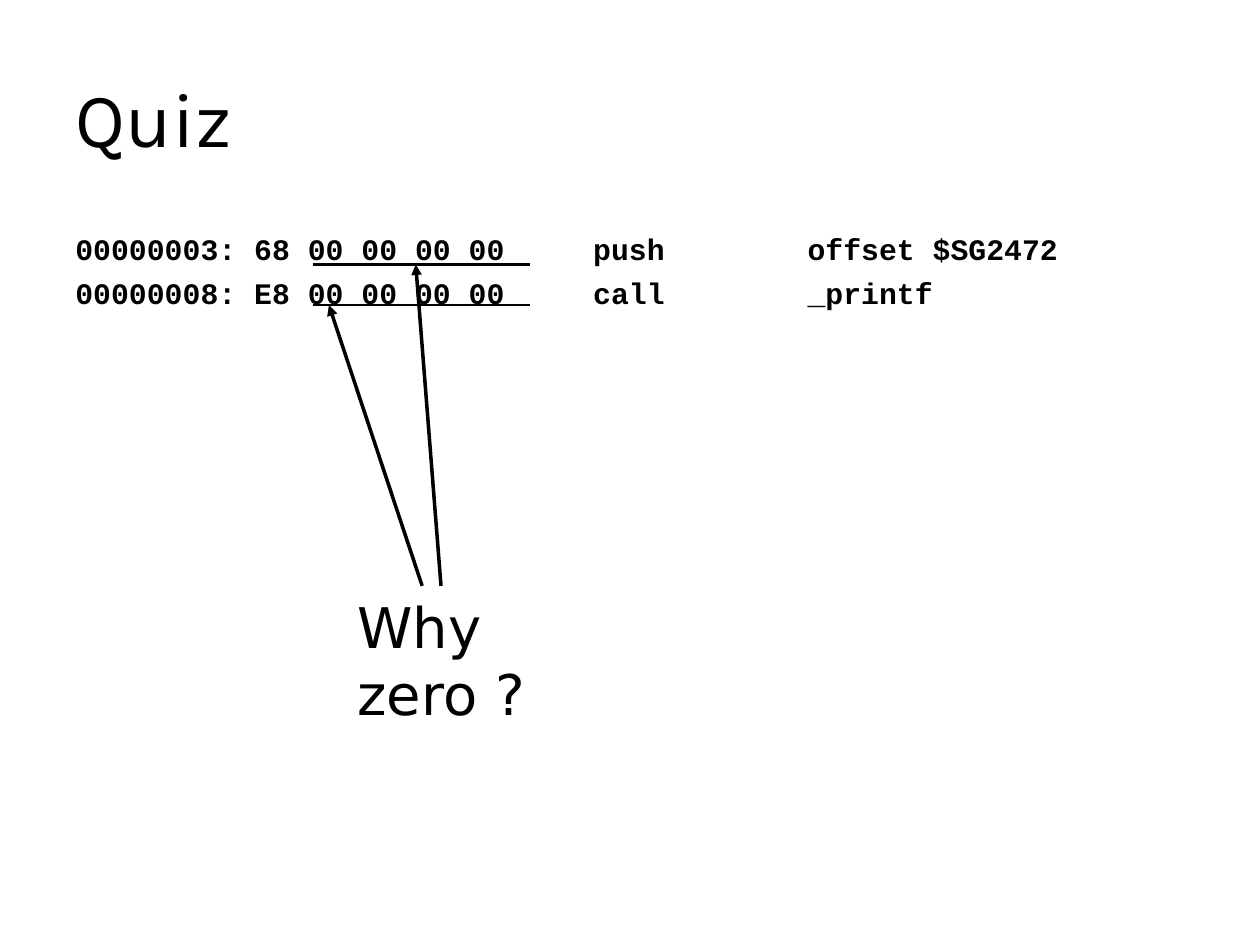
"""Build the quiz slide about zero addresses in object code."""
from dataclasses import dataclass

from lxml.etree import SubElement
from pptx import Presentation
from pptx.dml.color import RGBColor
from pptx.enum.shapes import MSO_CONNECTOR
from pptx.enum.text import MSO_ANCHOR, PP_ALIGN
from pptx.oxml.ns import qn
from pptx.slide import Slide
from pptx.text.text import _Paragraph
from pptx.util import Cm, Pt

BLACK = "000000"
CODE_TABS = (10.44, 14.76)
UNDERLINE_LEFT, UNDERLINE_RIGHT = 6.3, 10.69
PUSH_Y, CALL_Y = 5.33, 6.15
QUESTION_TOP = 11.81


@dataclass(frozen=True)
class Instruction:
    encoding: str
    mnemonic: str
    operand: str


@dataclass(frozen=True)
class Stroke:
    start: tuple[float, float]
    end: tuple[float, float]
    width: float
    arrow: bool = False


INSTRUCTIONS = (
    Instruction("00000003: 68 00 00 00 00", "push", "offset $SG2472"),
    Instruction("00000008: E8 00 00 00 00", "call", "_printf"),
)
POINTERS = (
    Stroke((8.51, QUESTION_TOP), (6.63, CALL_Y), 2, arrow=True),
    Stroke((8.89, QUESTION_TOP), (8.38, PUSH_Y), 2, arrow=True),
)
UNDERLINES = tuple(
    Stroke((UNDERLINE_LEFT, y), (UNDERLINE_RIGHT, y), 1.5) for y in (PUSH_Y, CALL_Y)
)


def color(value: str) -> RGBColor:
    """Turn a hex string into a colour."""
    return RGBColor.from_string(value)


def style(paragraph: _Paragraph, face: str, size: float, bold: bool = False) -> None:
    """Set the font of a left-aligned paragraph."""
    paragraph.alignment = PP_ALIGN.LEFT
    font = paragraph.font
    font.name, font.size, font.bold = face, Pt(size), bold
    font.color.rgb = color(BLACK)


def add_title(slide: Slide) -> None:
    """Place and format the slide title."""
    title = slide.shapes.title
    title.left, title.top, title.width, title.height = Cm(1.27), Cm(0.76), Cm(22.86), Cm(3.18)
    title.text_frame.vertical_anchor = MSO_ANCHOR.MIDDLE
    title.text_frame.text = "Quiz"
    style(title.text_frame.paragraphs[0], "Karla", 44)


def add_listing(slide: Slide) -> None:
    """Write the instructions in tabbed columns."""
    frame = slide.shapes.add_textbox(Cm(1.27), Cm(4.52), Cm(22.86), Cm(2.92)).text_frame
    frame.word_wrap = True
    for index, instruction in enumerate(INSTRUCTIONS):
        paragraph = frame.add_paragraph() if index else frame.paragraphs[0]
        paragraph.text = "\t".join(
            (instruction.encoding, instruction.mnemonic, instruction.operand)
        )
        if index:
            paragraph.space_before = Pt(5)
        tabs = SubElement(paragraph._p.get_or_add_pPr(), qn("a:tabLst"))
        for position in CODE_TABS:
            SubElement(tabs, qn("a:tab"), pos=str(Cm(position)), algn="l")
        style(paragraph, "Courier New", 17, bold=True)


def add_question(slide: Slide) -> None:
    """Write the question below the pointers."""
    frame = slide.shapes.add_textbox(Cm(6.96), Cm(QUESTION_TOP), Cm(6.22), Cm(1.63)).text_frame
    frame.word_wrap = True
    frame.text = "Why zero ?"
    style(frame.paragraphs[0], "DejaVu Sans", 32)


def add_stroke(slide: Slide, stroke: Stroke) -> None:
    """Draw a straight line, with an arrowhead if asked."""
    connector = slide.shapes.add_connector(
        MSO_CONNECTOR.STRAIGHT, *map(Cm, stroke.start + stroke.end)
    )
    connector.line.width = Pt(stroke.width)
    connector.line.color.rgb = color(BLACK)
    if stroke.arrow:
        SubElement(connector.line._get_or_add_ln(), qn("a:tailEnd"), type="triangle")
    SubElement(connector._element.spPr, qn("a:effectLst"))


def main() -> None:
    """Build and save the slide."""
    presentation = Presentation()
    presentation.slide_width, presentation.slide_height = Cm(25.4), Cm(19.05)
    slide = presentation.slides.add_slide(presentation.slide_layouts[5])
    add_title(slide)
    add_listing(slide)
    add_question(slide)
    for stroke in POINTERS + UNDERLINES:
        add_stroke(slide, stroke)
    presentation.save("out.pptx")


if __name__ == "__main__":
    main()
